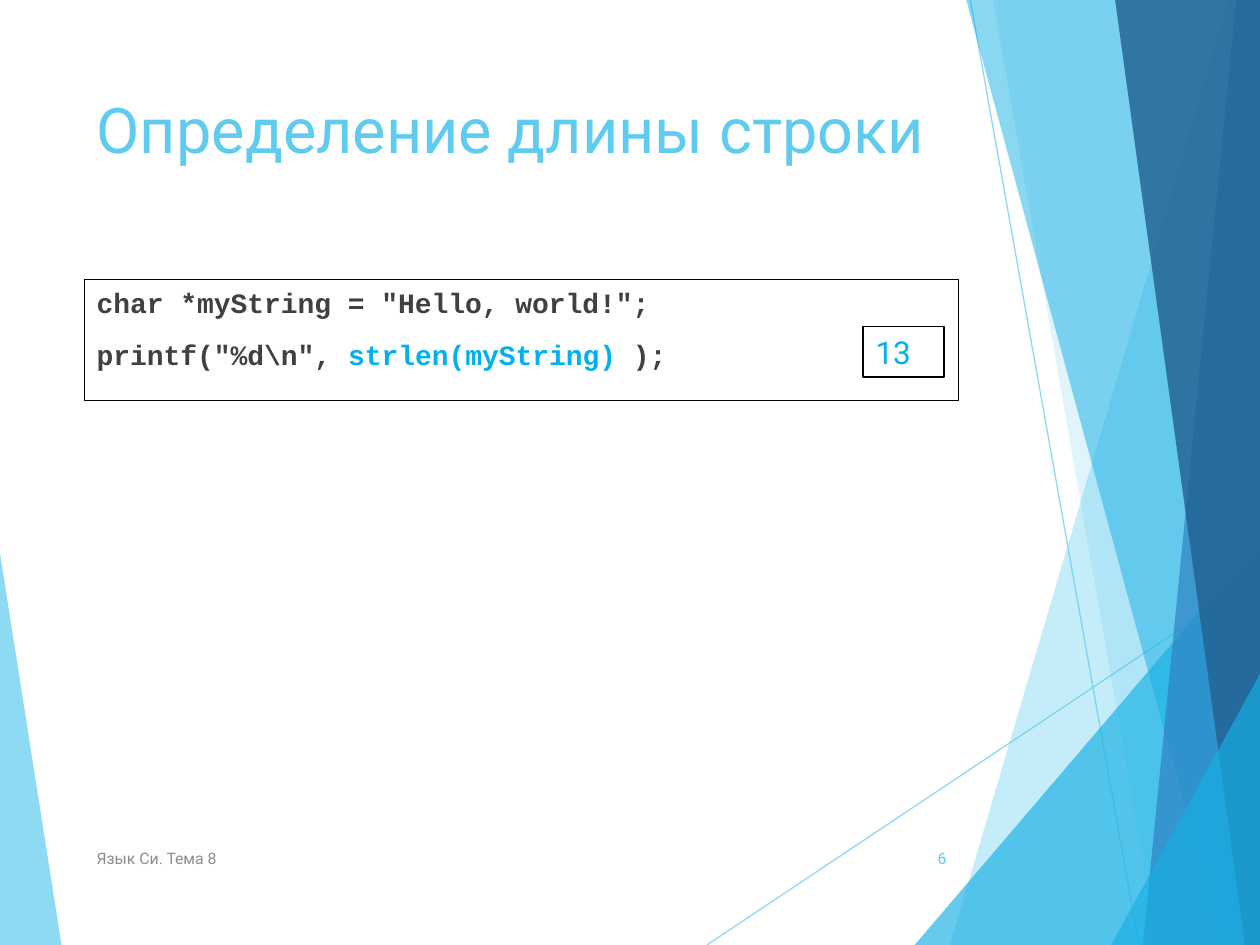
from lxml.etree import SubElement as Sub
from pptx import Presentation
from pptx.dml.color import RGBColor
from pptx.enum.shapes import MSO_CONNECTOR as Link, MSO_SHAPE as Kind
from pptx.enum.text import MSO_ANCHOR as Anchor, PP_ALIGN as Align
from pptx.oxml.ns import qn
from pptx.util import Cm, Pt

SKY = RGBColor(0x5F, 0xCB, 0xEF)
CYAN = RGBColor(0x17, 0xB0, 0xE4)
BLUE = RGBColor(0x2E, 0x83, 0xC3)
NAVY = RGBColor(0x22, 0x62, 0x92)
VIVID = RGBColor(0x00, 0xB0, 0xF0)
DARK = RGBColor(0x40, 0x40, 0x40)
GRAY = RGBColor(0x8C, 0x8C, 0x8C)
BLACK = RGBColor(0, 0, 0)

WIDE, HIGH = 25.4, 19.05
LEFT, SPAN = 1.7, 17.63
FOOT, TALL = 16.79, 1.02


def fade(part, alpha):
    """Set the opacity, in percent, of the solid colour under part."""
    tone = next(part.iter(qn("a:srgbClr")))
    Sub(tone, qn("a:alpha"), val=str(alpha * 1000))


def write(shape, *lines, size=18, font="Roboto", color=DARK, bold=False,
          align=Align.LEFT, anchor=Anchor.TOP, before=0):
    """Fill shape with lines, each a list of (text, colour or None) runs."""
    frame = shape.text_frame
    frame.word_wrap = True
    frame.vertical_anchor = anchor
    for i, line in enumerate(lines):
        para = frame.add_paragraph() if i else frame.paragraphs[0]
        para.alignment = align
        para.space_before = Pt(before)
        for text, tint in line:
            run = para.add_run()
            run.text = text
            run.font.size = Pt(size)
            run.font.name = font
            run.font.bold = bold
            run.font.color.rgb = tint or color


class Deck:
    """Holds the style and the current slide."""

    def __init__(self, thin=0.75):
        """Start a deck with one blank slide."""
        self.file = Presentation()
        self.file.slide_width = Cm(WIDE)
        self.file.slide_height = Cm(HIGH)
        self.page = self.file.slides.add_slide(self.file.slide_layouts[6])
        self.shapes = self.page.shapes
        self.thin = Pt(thin)

    def facet(self, points, color, alpha):
        """Draw a translucent polygon without an outline."""
        first, *rest = [(Cm(x), Cm(y)) for x, y in points]
        pen = self.shapes.build_freeform(*first)
        pen.add_line_segments(rest, close=True)
        shape = pen.convert_to_shape()
        shape.shadow.inherit = False
        shape.fill.solid()
        shape.fill.fore_color.rgb = color
        shape.line.fill.background()
        fade(shape.fill._xPr, alpha)

    def ray(self, start, end, color, alpha):
        """Draw a thin translucent line."""
        line = self.shapes.add_connector(
            Link.STRAIGHT, *map(Cm, start + end))
        line.line.width = self.thin
        line.line.color.rgb = color
        props = line._element.spPr
        fade(props, alpha)
        Sub(props, qn("a:effectLst"))

    def label(self, place, *lines, **style):
        """Add a plain text box."""
        write(self.shapes.add_textbox(*map(Cm, place)), *lines, **style)

    def frame(self, place, *lines, **style):
        """Add an outlined rectangle with text."""
        box = self.shapes.add_shape(Kind.RECTANGLE, *map(Cm, place))
        box.shadow.inherit = False
        box.fill.background()
        box.line.color.rgb = BLACK
        box.line.width = self.thin
        write(box, *lines, **style)


def wedge(top, low):
    """Return the outline from a slanted edge to the right slide edge."""
    return [(top, 0), (low, HIGH), (WIDE, HIGH), (WIDE, 0)]


def corner(left, top):
    """Return a triangle in the lower right corner."""
    return [(left, HIGH), (WIDE, top), (WIDE, HIGH)]


def main():
    """Build the slide and save it."""
    deck = Deck()
    deck.facet([(0, 11.15), (1.24, HIGH), (0, HIGH)], SKY, 70)
    deck.ray((14.25, HIGH), (WIDE, 11.61), SKY, 70)
    deck.ray((19.56, 0), (22.96, HIGH), SKY, 70)
    for points, color, alpha in (
            (wedge(24.77, 19.15), SKY, 36),
            (wedge(20.02, 23.34), SKY, 20),
            (corner(18.44, 10.9), CYAN, 66),
            (wedge(19.48, 24.64), CYAN, 50),
            (wedge(24.92, 23.04), BLUE, 70),
            (wedge(22.48, 25.1), NAVY, 82),
            (corner(22.4, 13.59), CYAN, 66)):
        deck.facet(points, color, alpha)

    deck.label((LEFT, 1.7, SPAN, 3.66),
               [("Определение длины строки", None)], size=36, color=SKY)
    deck.frame((LEFT, 5.64, SPAN, 2.44),
               [('char *myString = "Hello, world!";', None)],
               [('printf("%d\\n", ', None), ("strlen(myString)", VIVID),
                (" );", None)],
               size=16, font="Courier New", bold=True, before=10)
    deck.label((LEFT, FOOT, 12.85, TALL), [("Язык Си. Тема 8", None)],
               size=9, color=GRAY, anchor=Anchor.MIDDLE)
    deck.label((17.91, FOOT, 1.42, TALL), [("6", None)],
               size=9, color=SKY, align=Align.RIGHT, anchor=Anchor.MIDDLE)
    deck.frame((17.4, 6.58, 1.63, TALL), [("13", None)], color=VIVID)
    deck.file.save("out.pptx")


main()
